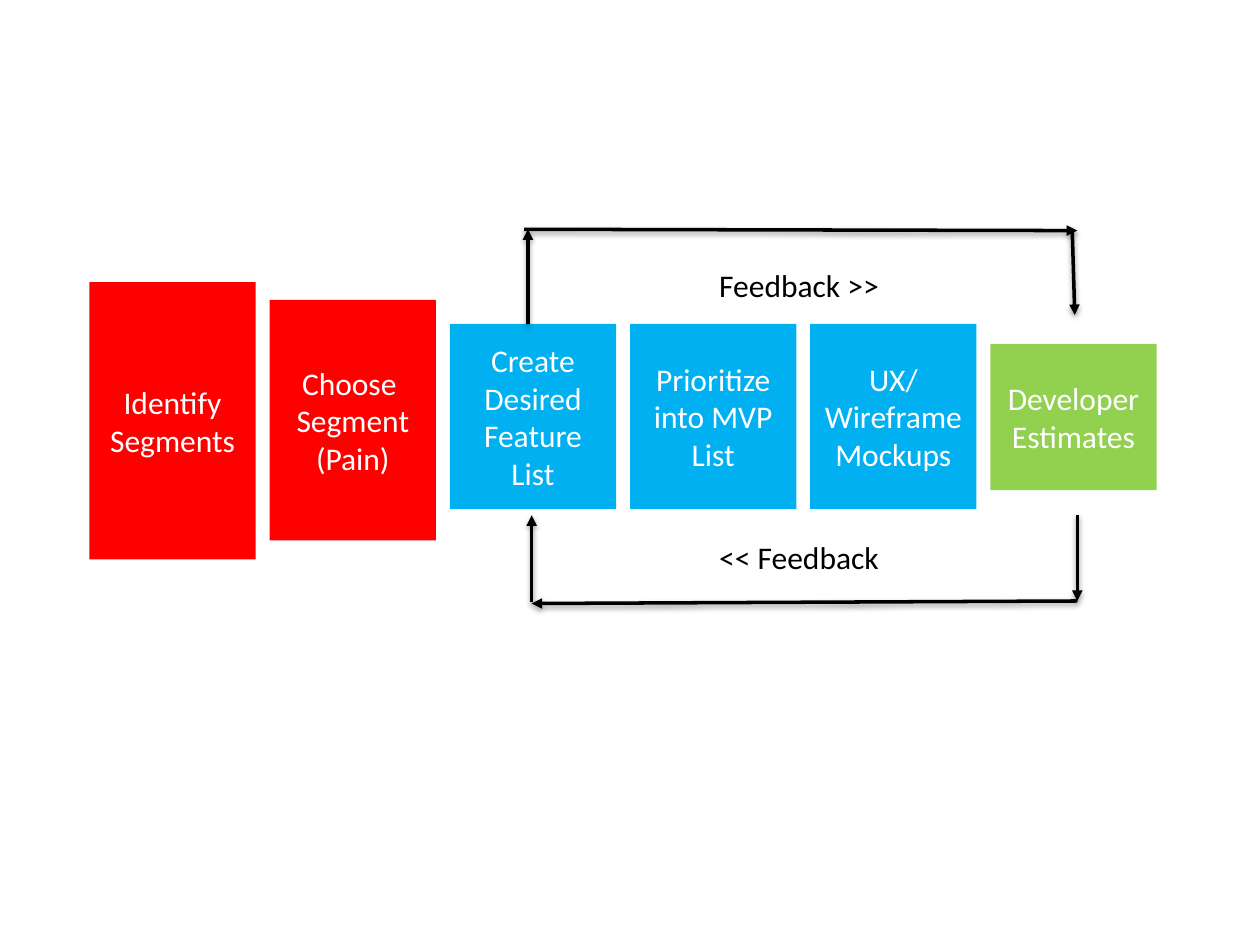
from lxml import etree
from pptx import Presentation
from pptx.dml.color import RGBColor
from pptx.enum.shapes import MSO_CONNECTOR, MSO_SHAPE
from pptx.enum.text import MSO_ANCHOR, MSO_AUTO_SIZE, PP_ALIGN
from pptx.oxml.ns import qn
from pptx.util import Inches, Pt

RECTANGLE = MSO_SHAPE.RECTANGLE
STRAIGHT = MSO_CONNECTOR.STRAIGHT
MIDDLE, TOP = MSO_ANCHOR.MIDDLE, MSO_ANCHOR.TOP
CENTER, LEFT = PP_ALIGN.CENTER, PP_ALIGN.LEFT
FIT_SHAPE = MSO_AUTO_SIZE.SHAPE_TO_FIT_TEXT

COLORS = {"segment": "FF0000", "feature": "00B0F0", "estimate": "92D050",
          "ink": "000000", "paper": "FFFFFF"}
COLUMNS, ROWS = 100, 75


def rgb(name):
    return RGBColor.from_string(COLORS[name])


def write(frame, text, color="ink", align=LEFT, anchor=TOP, size=18, font="Calibri"):
    frame.word_wrap = True
    frame.vertical_anchor = anchor
    frame.text = text
    for paragraph in frame.paragraphs:
        paragraph.alignment = align
        for run in paragraph.runs:
            run.font.name = font
            run.font.size = Pt(size)
            run.font.color.rgb = rgb(color)


class FlowSlide:
    def __init__(self, deck):
        self.slide = deck.slides.add_slide(deck.slide_layouts[6])
        self.column = deck.slide_width / COLUMNS
        self.row = deck.slide_height / ROWS

    def place(self, x, y):
        return round(x * self.column), round(y * self.row)

    def step(self, text, fill, left, top, width, height):
        box = self.slide.shapes.add_shape(
            RECTANGLE, *self.place(left, top), *self.place(width, height))
        box.shadow.inherit = False
        box.fill.solid()
        box.fill.fore_color.rgb = rgb(fill)
        box.line.fill.background()
        write(box.text_frame, text, color="paper", align=CENTER, anchor=MIDDLE)

    def arrow(self, start, end):
        line = self.slide.shapes.add_connector(
            STRAIGHT, *self.place(*start), *self.place(*end))
        line.line.color.rgb = rgb("ink")
        line.line.width = Pt(2)
        etree.SubElement(line.line._get_or_add_ln(), qn("a:tailEnd"), type="triangle")
        effects = etree.SubElement(line._element.spPr, qn("a:effectLst"))
        shadow = etree.SubElement(effects, qn("a:outerShdw"), blurRad=str(Pt(3.1)),
                                  dist=str(Pt(1.6)), dir="5400000", rotWithShape="0")
        tint = etree.SubElement(shadow, qn("a:srgbClr"), val=COLORS["ink"])
        etree.SubElement(tint, qn("a:alpha"), val="38000")

    def label(self, text, left, top, width, height):
        box = self.slide.shapes.add_textbox(
            *self.place(left, top), *self.place(width, height))
        write(box.text_frame, text)
        box.text_frame.auto_size = FIT_SHAPE


deck = Presentation()
deck.slide_width, deck.slide_height = Inches(10), Inches(7.5)
flow = FlowSlide(deck)

STEPS = [
    ("Identify Segments", "segment", 22.4, 22),
    ("Choose \nSegment (Pain)", "segment", 23.8, 19.1),
    ("Create Desired Feature List", "feature", 25.7, 14.7),
    ("Prioritize into MVP List", "feature", 25.7, 14.7),
    ("UX/Wireframe Mockups", "feature", 25.7, 14.7),
    ("Developer Estimates", "estimate", 27.3, 11.6),
]
FIRST_LEFT, PITCH, STEP_WIDTH = 7.1, 14.3, 13.2
for index, (text, fill, top, height) in enumerate(STEPS):
    flow.step(text, fill, FIRST_LEFT + index * PITCH, top, STEP_WIDTH, height)

FEEDBACK_ARROWS = [
    ((41.6, 18.2), (85.5, 18.3)),
    ((85.5, 47.7), (42.2, 47.9)),
    ((85.1, 18.3), (85.3, 25)),
    ((42.2, 47.8), (42.2, 40.9)),
    ((85.5, 40.9), (85.5, 47.7)),
    ((41.9, 25.7), (41.9, 18.2)),
]
for start, end in FEEDBACK_ARROWS:
    flow.arrow(start, end)

for text, top, width in [("Feedback >>", 20.6, 22.5), ("<< Feedback", 42.2, 41.3)]:
    flow.label(text, 56.1, top, width, 4)

deck.save("out.pptx")
